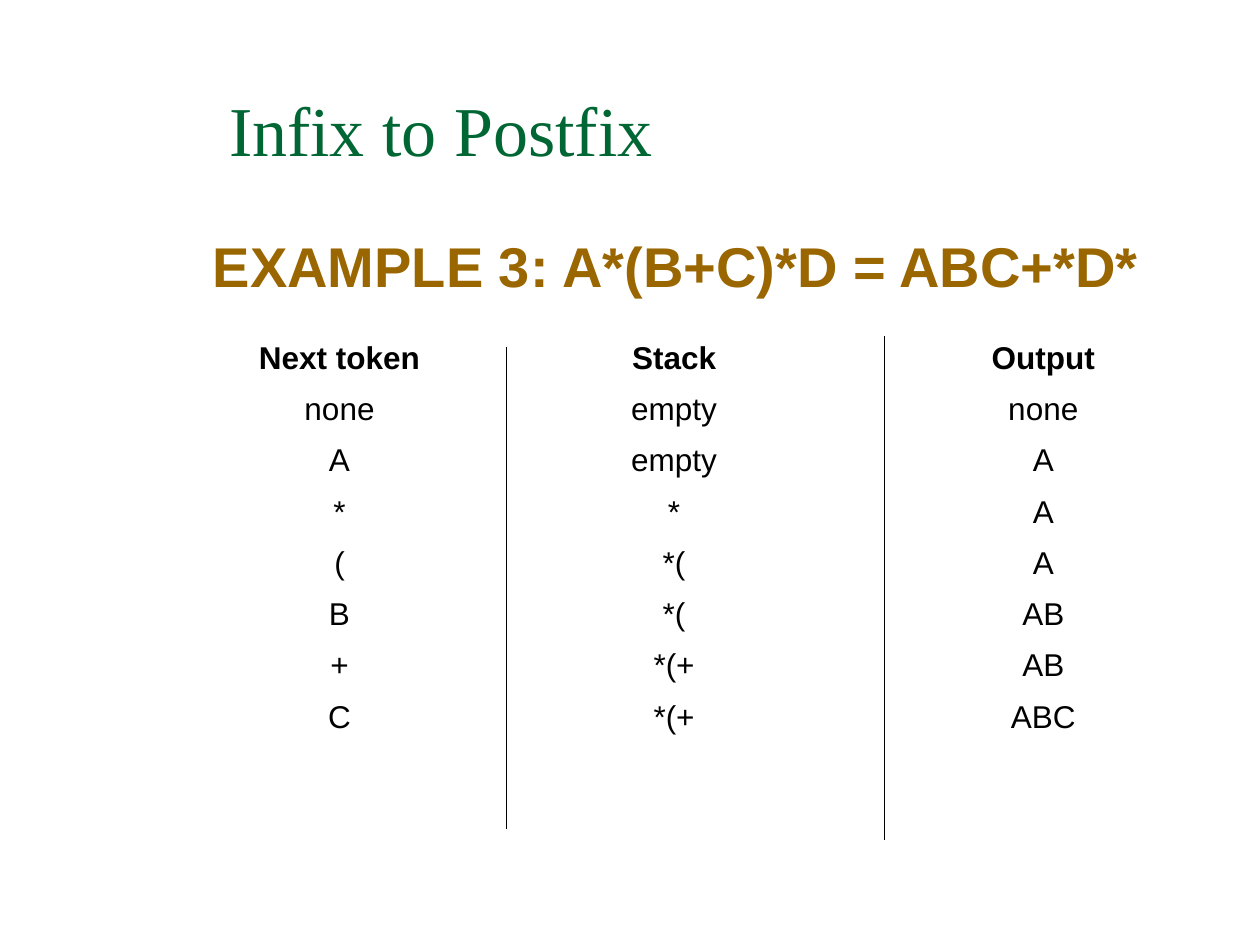
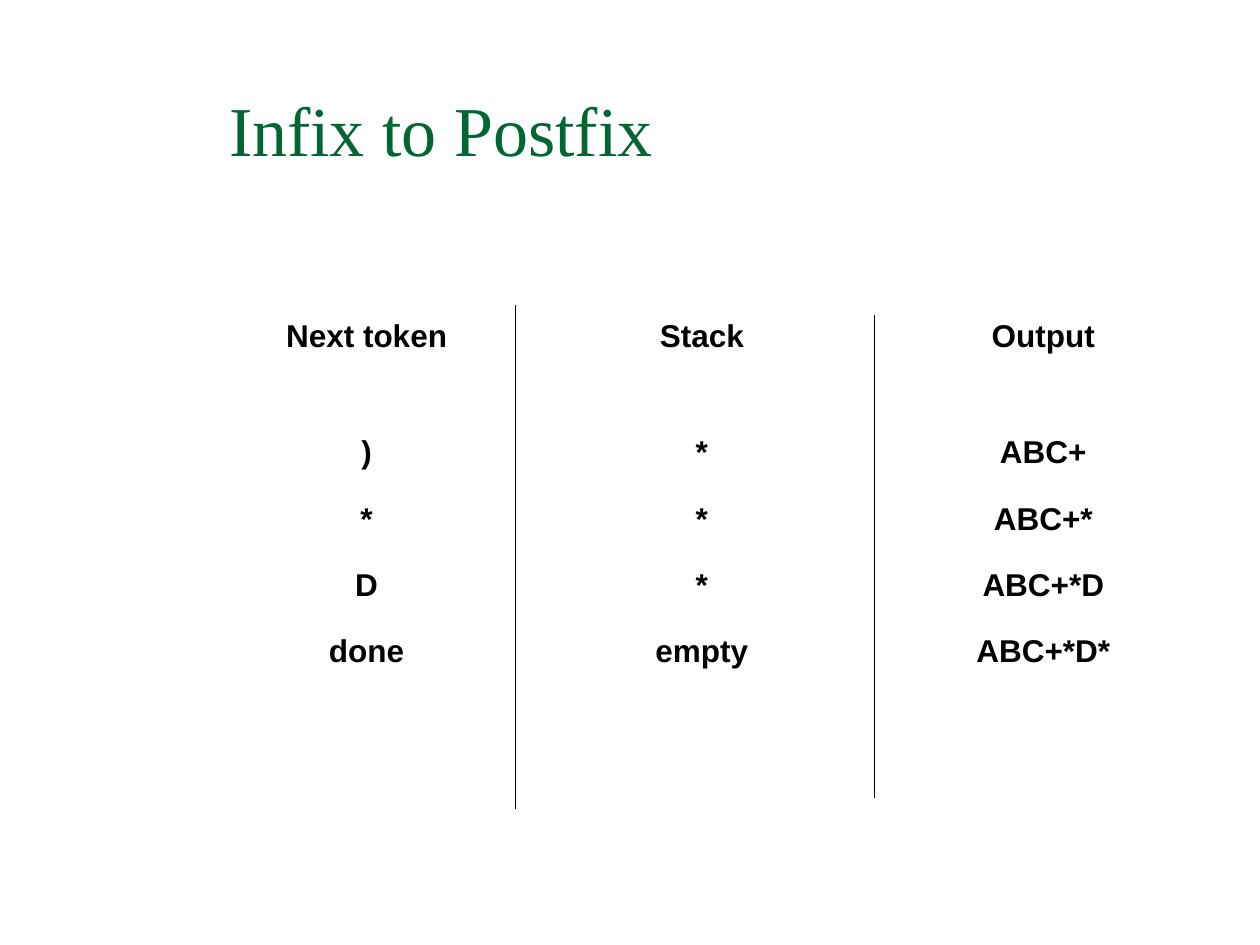
import pptx
import pptx.util
import pptx.dml.color
import pptx.enum.shapes
import pptx.enum.text
import pptx.oxml.ns
from dataclasses import dataclass
from lxml import etree

Inches = pptx.util.Inches
Pt = pptx.util.Pt
Align = pptx.enum.text.PP_ALIGN


@dataclass(frozen=True)
class Theme:
    green: str = "006633"
    brown: str = "996600"
    black: str = "000000"
    serif: str = "Times New Roman"
    sans: str = "Arial"
    title: int = 40
    head: int = 32
    body: int = 18
    gap: float = 12
    rule: float = 0.75


THEME = Theme()


def color(code):
    return pptx.dml.color.RGBColor.from_string(code)


def add_box(slide, left, top, width, height, inset):
    """Add a wrapping text box and return its frame."""
    box = slide.shapes.add_textbox(*map(Inches, (left, top, width, height)))
    frame = box.text_frame
    frame.word_wrap = True
    frame.margin_top = Inches(inset)
    return frame


def set_font(para, name, size, code, bold=False):
    font = para.font
    font.name, font.size, font.bold = name, Pt(size), bold
    font.color.rgb = color(code)


def add_title(slide, text):
    para = add_box(slide, 1.72, 0.58, 7.35, 1.25, 0.11).paragraphs[0]
    para.text = text
    set_font(para, THEME.serif, THEME.title, THEME.green)


def add_head(slide, text):
    para = add_box(slide, 1.59, 1.75, 8.41, 0.8, 0.09).paragraphs[0]
    para.text = text
    set_font(para, THEME.sans, THEME.head, THEME.brown, True)


def add_column(slide, place, label, items, bold, pitch, first):
    """Add a bold label with its items below; first is the gap under the label."""
    frame = add_box(slide, *place, 0.07)
    for row, text in enumerate([label, *items]):
        para = frame.paragraphs[0] if row == 0 else frame.add_paragraph()
        para.text = text
        para.alignment = Align.CENTER
        para.line_spacing = pitch if row else 0.8
        if row:
            para.space_before = Pt(first if row == 1 else THEME.gap)
        set_font(para, THEME.sans, THEME.body, THEME.black, bold or row == 0)


def add_rule(slide, x, top, end):
    kind = pptx.enum.shapes.MSO_CONNECTOR.STRAIGHT
    line = slide.shapes.add_connector(kind, *map(Inches, (x, top, x, end)))
    line.line.color.rgb = color(THEME.black)
    line.line.width = Pt(THEME.rule)
    props = line._element.spPr
    etree.SubElement(props, pptx.oxml.ns.qn("a:effectLst"))


def add_trace(slide, top, height, spans, rows, rules, bold, pitch, first):
    """Draw the three columns of the trace and the rules between them."""
    labels = ("Next token", "Stack", "Output")
    for (left, width), label, items in zip(spans, labels, zip(*rows)):
        place = (left, top, width, height)
        add_column(slide, place, label, items, bold, pitch, first)
    for rule in rules:
        add_rule(slide, *rule)


def main():
    deck = pptx.Presentation()
    deck.slide_width, deck.slide_height = Inches(10), Inches(7.5)
    start, finish = [deck.slides.add_slide(deck.slide_layouts[6])
                     for _ in range(2)]
    for slide in (start, finish):
        add_title(slide, "Infix to Postfix")

    # First half of the trace
    add_head(start, "EXAMPLE 3: A*(B+C)*D = ABC+*D*")
    rows = [
        ("none", "empty", "none"),
        ("A", "empty", "A"),
        ("*", "*", "A"),
        ("(", "*(", "A"),
        ("B", "*(", "AB"),
        ("+", "*(+", "AB"),
        ("C", "*(+", "ABC"),
    ]
    add_trace(start, 2.67, 3.12, [(1.61, 2.17), (4.31, 2.08), (7.24, 2.08)],
              rows, [(4.02, 2.75, 6.58), (7.02, 2.67, 6.67)],
              bold=False, pitch=0.8, first=THEME.gap)

    # Second half of the trace
    rows = [
        (")", "*", "ABC+"),
        ("*", "*", "ABC+*"),
        ("D", "*", "ABC+*D"),
        ("done", "empty", "ABC+*D*"),
    ]
    add_trace(finish, 2.5, 2.8, [(1.83, 2.16), (4.53, 2.08), (7.24, 2.08)],
              rows, [(4.09, 2.42, 6.42), (6.94, 2.5, 6.33)],
              bold=True, pitch=1.2, first=40.5)

    deck.save("out.pptx")


if __name__ == "__main__":
    main()
